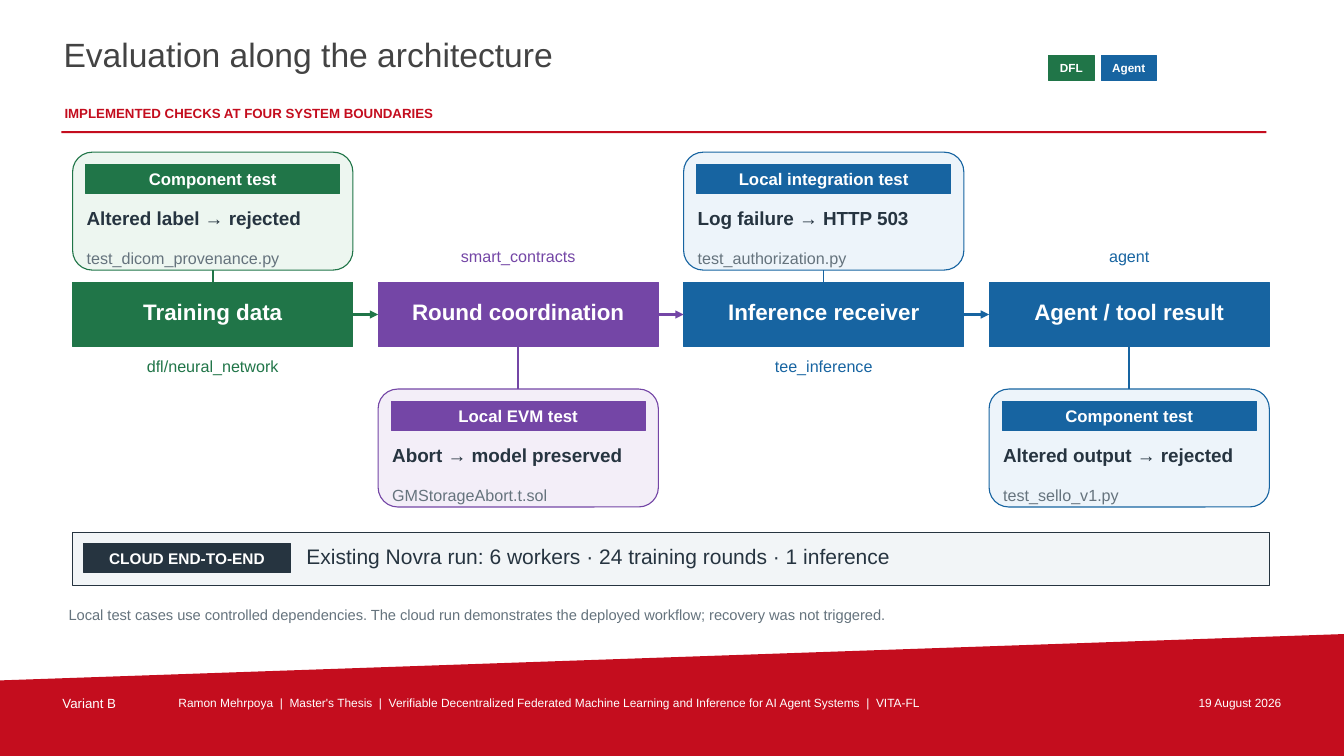
from dataclasses import dataclass

from lxml.etree import SubElement
from pptx import Presentation
from pptx.dml.color import RGBColor
from pptx.enum.shapes import MSO_CONNECTOR, MSO_SHAPE
from pptx.enum.text import MSO_ANCHOR, PP_ALIGN
from pptx.oxml.ns import qn
from pptx.util import Inches, Pt


@dataclass(frozen=True)
class Theme:
    font: str = "Arial"
    # Colours
    red: str = "C40D1E"
    green: str = "207548"
    purple: str = "7446A6"
    blue: str = "1764A1"
    pale_green: str = "EDF6F0"
    pale_purple: str = "F3EEF8"
    pale_blue: str = "EDF4FA"
    pale_gray: str = "F2F5F7"
    white: str = "FFFFFF"
    title_gray: str = "434343"
    ink: str = "263440"
    muted: str = "65737D"
    # Type sizes
    title: float = 24
    stage: float = 16
    summary: float = 15
    finding: float = 13.5
    badge: float = 12
    label: float = 11.5
    cloud: float = 11
    note: float = 10.5
    small: float = 9.5
    footer: float = 8.5
    tag: float = 8.4


THEME = Theme()

# Column grid and rows, in inches
LEFT, COLUMN_WIDTH, COLUMN_STEP = 0.72, 2.78, 3.03
STAGE_TOP, STAGE_HEIGHT = 2.8, 0.64
CARD_HEIGHT = 1.17
CARD_TOP_ABOVE, CARD_TOP_BELOW = 1.51, 3.86
LABEL_TOP_ABOVE, LABEL_TOP_BELOW = 2.43, 3.52

# Stage, module, colour, card fill, card is above, test kind, finding, test file
STAGES = [
    ("Training data", "dfl/neural_network", THEME.green, THEME.pale_green, True,
     "Component test", "Altered label → rejected", "test_dicom_provenance.py"),
    ("Round coordination", "smart_contracts", THEME.purple, THEME.pale_purple, False,
     "Local EVM test", "Abort → model preserved", "GMStorageAbort.t.sol"),
    ("Inference receiver", "tee_inference", THEME.blue, THEME.pale_blue, True,
     "Local integration test", "Log failure → HTTP 503", "test_authorization.py"),
    ("Agent / tool result", "agent", THEME.blue, THEME.pale_blue, False,
     "Component test", "Altered output → rejected", "test_sello_v1.py"),
]


def write_text(shape, text, size, color, bold=False, align=PP_ALIGN.LEFT,
               anchor=MSO_ANCHOR.MIDDLE, inset=0, lift=0):
    """Fill a shape with one formatted paragraph; lift raises centred text."""
    frame = shape.text_frame
    frame.word_wrap = True
    frame.vertical_anchor = anchor
    frame.margin_left = frame.margin_right = frame.margin_top = Inches(inset)
    frame.margin_bottom = Inches(inset + lift)
    paragraph = frame.paragraphs[0]
    paragraph.alignment = align
    run = paragraph.add_run()
    run.text = text
    run.font.name = THEME.font
    run.font.size = Pt(size)
    run.font.bold = bold
    run.font.color.rgb = RGBColor.from_string(color)


def add_text(slide, box, text, size, color, **text_format):
    shape = slide.shapes.add_textbox(*map(Inches, box))
    write_text(shape, text, size, color, **text_format)


def paint(shape, fill, line=None, line_width=0.5):
    shape.shadow.inherit = False
    shape.fill.solid()
    shape.fill.fore_color.rgb = RGBColor.from_string(fill)
    if line:
        shape.line.color.rgb = RGBColor.from_string(line)
        shape.line.width = Pt(line_width)
    else:
        shape.line.fill.background()


def add_box(slide, box, fill, line=None, line_width=0.5, kind=MSO_SHAPE.RECTANGLE):
    shape = slide.shapes.add_shape(kind, *map(Inches, box))
    paint(shape, fill, line, line_width)
    return shape


def add_badge(slide, box, text, size, fill, lift=0):
    shape = add_box(slide, box, fill, fill)
    write_text(shape, text, size, THEME.white, bold=True, align=PP_ALIGN.CENTER, lift=lift)
    return shape


def join(slide, start, start_side, end, end_side, color, width, arrow=False):
    connector = slide.shapes.add_connector(MSO_CONNECTOR.STRAIGHT, 0, 0, 0, 0)
    connector.begin_connect(start, start_side)
    connector.end_connect(end, end_side)
    connector.line.color.rgb = RGBColor.from_string(color)
    connector.line.width = Pt(width)
    properties = connector._element.spPr
    if arrow:
        SubElement(properties.find(qn("a:ln")), qn("a:tailEnd"), type="triangle")
    SubElement(properties, qn("a:effectLst"))


def add_card(slide, left, top, color, fill, test_kind, finding, test_file):
    card = add_box(slide, (left, top, COLUMN_WIDTH, CARD_HEIGHT), fill, color, 0.8,
                   MSO_SHAPE.ROUNDED_RECTANGLE)
    add_badge(slide, (left + 0.13, top + 0.12, 2.52, 0.29), test_kind, THEME.badge, color)
    add_text(slide, (left + 0.14, top + 0.4, 2.5, 0.5), finding, THEME.finding,
             THEME.ink, bold=True)
    add_text(slide, (left + 0.14, top + 0.95, 2.5, 0.2), test_file, THEME.label, THEME.muted)
    return card


def add_header(slide):
    add_text(slide, (0.61, 0.32, 9.65, 0.62), "Evaluation along the architecture",
             THEME.title, THEME.title_gray, anchor=MSO_ANCHOR.TOP, inset=0.02)
    add_text(slide, (0.62, 1.02, 9.7, 0.22), "IMPLEMENTED CHECKS AT FOUR SYSTEM BOUNDARIES",
             THEME.small, THEME.red, bold=True, anchor=MSO_ANCHOR.TOP, inset=0.02)
    add_box(slide, (0.61, 1.3, 11.95, 0.02), THEME.red)
    add_badge(slide, (10.4, 0.55, 0.45, 0.25), "DFL", THEME.tag, THEME.green)
    add_badge(slide, (10.92, 0.55, 0.55, 0.25), "Agent", THEME.tag, THEME.blue)


def add_pipeline(slide):
    previous, previous_color = None, None
    for column, (name, module, color, fill, above, *card_text) in enumerate(STAGES):
        left = LEFT + column * COLUMN_STEP
        stage = add_badge(slide, (left, STAGE_TOP, COLUMN_WIDTH, STAGE_HEIGHT), name,
                          THEME.stage, color, lift=0.05)
        if previous is not None:
            join(slide, previous, 3, stage, 1, previous_color, 1.8, arrow=True)
        previous, previous_color = stage, color

        # Test card on one side, module name on the other
        card_top = CARD_TOP_ABOVE if above else CARD_TOP_BELOW
        card = add_card(slide, left, card_top, color, fill, *card_text)
        upper, lower = (card, stage) if above else (stage, card)
        join(slide, upper, 2, lower, 0, color, 1.1)
        label_top = LABEL_TOP_BELOW if above else LABEL_TOP_ABOVE
        add_text(slide, (left, label_top, COLUMN_WIDTH, 0.22), module, THEME.label, color,
                 align=PP_ALIGN.CENTER)


def add_cloud_summary(slide):
    add_box(slide, (LEFT, 5.28, 11.87, 0.53), THEME.pale_gray, THEME.ink, 0.6)
    add_badge(slide, (0.83, 5.39, 2.05, 0.29), "CLOUD END-TO-END", THEME.cloud, THEME.ink)
    add_text(slide, (3.04, 5.36, 9.36, 0.32),
             "Existing Novra run: 6 workers · 24 training rounds · 1 inference",
             THEME.summary, THEME.ink)
    add_text(slide, (0.68, 5.97, 11.98, 0.26),
             "Local test cases use controlled dependencies. The cloud run demonstrates "
             "the deployed workflow; recovery was not triggered.", THEME.note, THEME.muted)


def add_footer(slide):
    builder = slide.shapes.build_freeform(Inches(0), Inches(6.75))
    corners = [(13.33, 6.29), (13.33, 7.5), (0, 7.5)]
    builder.add_line_segments([(Inches(x), Inches(y)) for x, y in corners])
    paint(builder.convert_to_shape(), THEME.red)
    entries = [
        (0.6, 1.1, "Variant B", THEME.small, PP_ALIGN.LEFT),
        (1.75, 9.35, "Ramon Mehrpoya  |  Master's Thesis  |  Verifiable Decentralized "
         "Federated Machine Learning and Inference for AI Agent Systems  |  VITA-FL",
         THEME.footer, PP_ALIGN.LEFT),
        (11.2, 1.53, "19 August 2026", THEME.footer, PP_ALIGN.RIGHT),
    ]
    for left, width, text, size, align in entries:
        add_text(slide, (left, 6.88, width, 0.22), text, size, THEME.white, align=align,
                 anchor=MSO_ANCHOR.TOP, inset=0.02)


def main():
    presentation = Presentation()
    presentation.slide_width = Inches(13.33)
    presentation.slide_height = Inches(7.5)
    slide = presentation.slides.add_slide(presentation.slide_layouts[6])
    add_footer(slide)
    add_header(slide)
    add_pipeline(slide)
    add_cloud_summary(slide)
    presentation.save("out.pptx")


if __name__ == "__main__":
    main()
